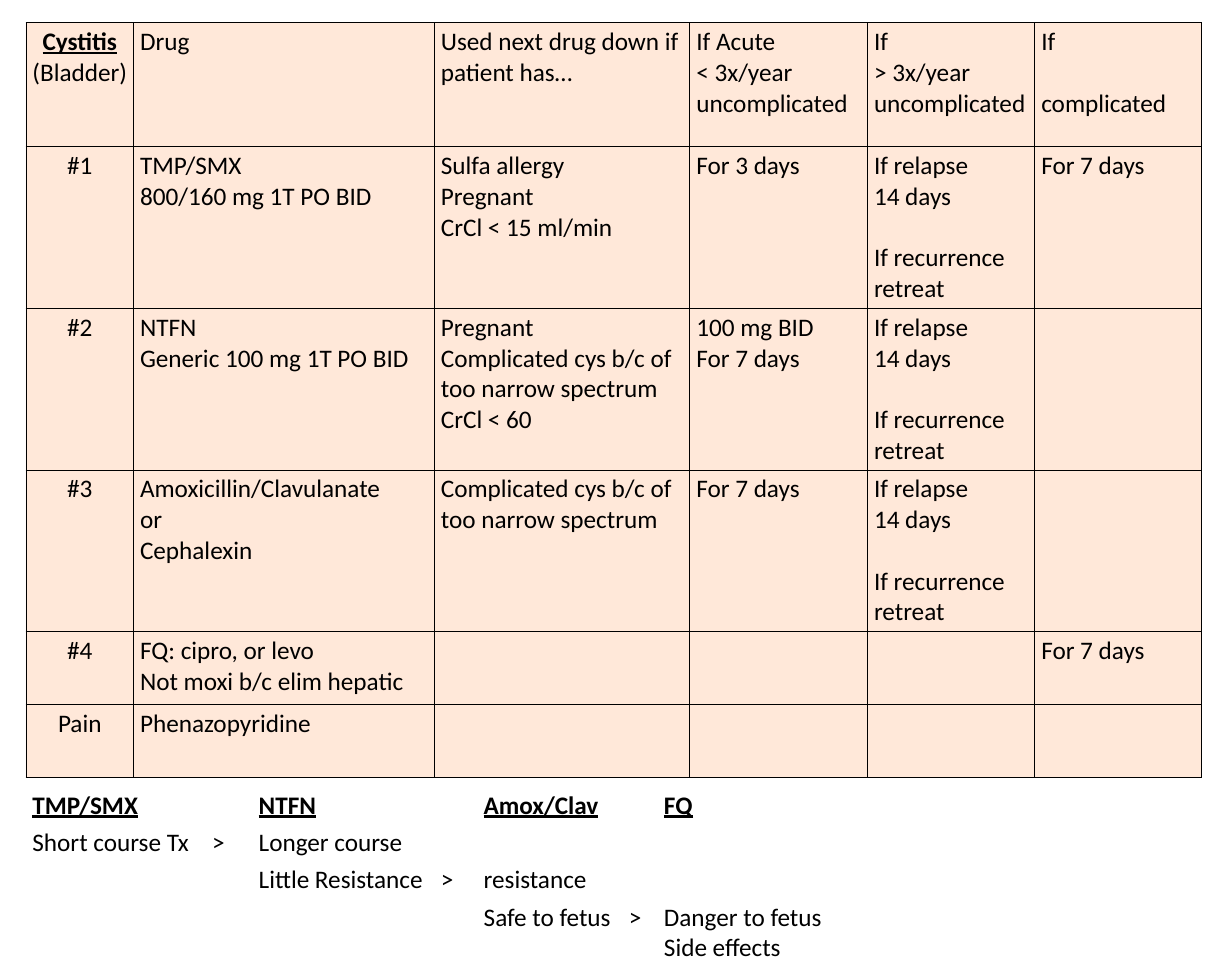
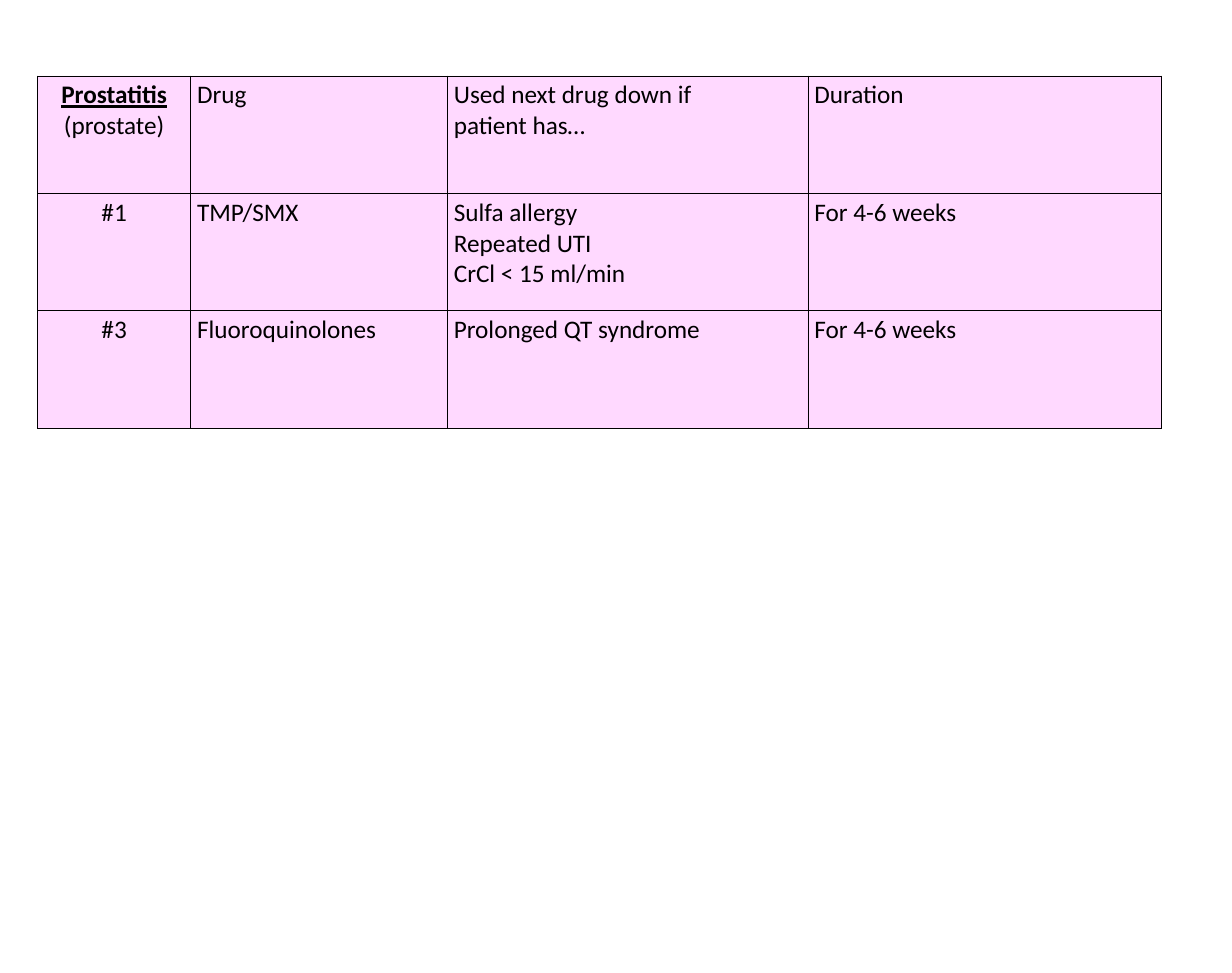
"""Build two slides of drug choice tables for cystitis and prostatitis."""
from dataclasses import dataclass

from lxml import etree
from pptx import Presentation
from pptx.dml.color import RGBColor
from pptx.enum.text import PP_ALIGN
from pptx.oxml.ns import qn
from pptx.util import Inches, Pt

LEFT, CENTER = PP_ALIGN.LEFT, PP_ALIGN.CENTER
BORDER_SIDES = ("a:lnL", "a:lnR", "a:lnT", "a:lnB")


@dataclass(frozen=True)
class Theme:
    font: str = "Calibri"
    size: float = 28
    blank_line: float = 34
    ink: str = "000000"
    border: float = 1
    orange: str = "FF6600"
    magenta: str = "FF00FF"
    tint: int = 15


THEME = Theme()
NEXT_DRUG = "Used next drug down if\npatient has…"
RELAPSE = "If relapse\n14 days\n\nIf recurrence\nretreat"

CYSTITIS = {
    "position": (0.4, 0.35),
    "columns": (1.66, 4.64, 3.94, 2.74, 2.58, 2.57),
    "heights": (1.91, 2.49, 2.49, 2.49, 1.12, 1.12),
    "color": THEME.orange,
    "rows": [
        ("Cystitis\n(Bladder)", "Drug", NEXT_DRUG, "If Acute\n< 3x/year\nuncomplicated",
         "If\n> 3x/year\nuncomplicated", "If\n\ncomplicated"),
        ("#1", "TMP/SMX\n800/160 mg 1T PO BID", "Sulfa allergy\nPregnant\nCrCl < 15 ml/min",
         "For 3 days", RELAPSE, "For 7 days"),
        ("#2", "NTFN\nGeneric 100 mg 1T PO BID",
         "Pregnant\nComplicated cys b/c of too narrow spectrum\nCrCl < 60",
         "100 mg BID\nFor 7 days", RELAPSE, ""),
        ("#3", "Amoxicillin/Clavulanate\nor\nCephalexin",
         "Complicated cys b/c of too narrow spectrum", "For 7 days", RELAPSE, ""),
        ("#4", "FQ: cipro, or levo\nNot moxi b/c elim hepatic", "", "", "", "For 7 days"),
        ("Pain", "Phenazopyridine", "", "", "", ""),
    ],
}
COMPARISON = {
    "position": (0.4, 12.13),
    "columns": (3.49, 3.47, 2.78, 3.86),
    "heights": (0.57, 0.57, 0.57, 1.05),
    "tabs": (2.77, 2.81, 2.24, None),
    "rows": [
        ("TMP/SMX", "NTFN", "Amox/Clav", "FQ"),
        ("Short course Tx\t>", "Longer course", "", ""),
        ("", "Little Resistance\t>", "resistance", ""),
        ("", "", "Safe to fetus\t>", "Danger to fetus\nSide effects"),
    ],
}
PROSTATITIS = {
    "position": (0.58, 1.17),
    "columns": (2.36, 3.96, 5.56, 5.45),
    "heights": (1.81, 1.81, 1.81),
    "color": THEME.magenta,
    "rows": [
        ("Prostatitis\n(prostate)", "Drug", NEXT_DRUG, "Duration"),
        ("#1", "TMP/SMX", "Sulfa allergy\nRepeated UTI\nCrCl < 15 ml/min", "For 4-6 weeks"),
        ("#3", "Fluoroquinolones", "Prolonged QT syndrome", "For 4-6 weeks"),
    ],
}
SLIDES = [(CYSTITIS, COMPARISON), (PROSTATITIS,)]


def add_text(text_frame, text, heading=False, align=LEFT, tab=None):
    """Write lines as paragraphs; an empty line becomes space before the next."""
    paragraph, gap = None, 0
    for line in text.split("\n"):
        if not line:
            gap += THEME.blank_line
            continue
        first = paragraph is None
        paragraph = text_frame.paragraphs[0] if first else text_frame.add_paragraph()
        paragraph.alignment = align
        if gap and not first:
            paragraph.space_before = Pt(gap)
        gap = 0
        if "\t" in line:
            tabs = etree.SubElement(paragraph._p.get_or_add_pPr(), qn("a:tabLst"))
            etree.SubElement(tabs, qn("a:tab"), pos=str(Inches(tab)), algn="l")
        run = paragraph.add_run()
        run.text = line
        run.font.name = THEME.font
        run.font.size = Pt(THEME.size)
        run.font.color.rgb = RGBColor.from_string(THEME.ink)
        run.font.bold = run.font.underline = heading and first


def style_cell(cell, color):
    """Give a cell a tinted fill and black borders, or neither."""
    if color is None:
        cell.fill.background()
        return
    properties = cell._tc.get_or_add_tcPr()
    for side in BORDER_SIDES:
        line = etree.SubElement(properties, qn(side), w=str(Pt(THEME.border)))
        fill = etree.SubElement(line, qn("a:solidFill"))
        etree.SubElement(fill, qn("a:srgbClr"), val=THEME.ink)
    cell.fill.solid()
    cell.fill.fore_color.rgb = RGBColor.from_string(color)
    tint = properties.find(qn("a:solidFill"))[0]
    etree.SubElement(tint, qn("a:alpha"), val=str(THEME.tint * 1000))


def add_drug_table(slide, content):
    """Place one table; a coloured one has a centred label column."""
    rows, columns, heights = content["rows"], content["columns"], content["heights"]
    color = content.get("color")
    tabs = content.get("tabs", (None,) * len(columns))
    left, top = content["position"]
    table = slide.shapes.add_table(
        len(rows), len(columns), Inches(left), Inches(top),
        Inches(sum(columns)), Inches(sum(heights))).table
    table.first_row = table.horz_banding = False
    for column, width in zip(table.columns, columns):
        column.width = Inches(width)
    for row, height in zip(table.rows, heights):
        row.height = Inches(height)
    for row_index, row in enumerate(rows):
        for column_index, text in enumerate(row):
            cell = table.cell(row_index, column_index)
            label = color is not None and column_index == 0
            if color:
                cell.margin_top = cell.margin_bottom = Inches(0.06)
            style_cell(cell, color)
            add_text(cell.text_frame, text,
                     heading=row_index == 0 and (label or color is None),
                     align=CENTER if label else LEFT, tab=tabs[column_index])


def main():
    """Build and save the presentation."""
    presentation = Presentation()
    presentation.slide_width, presentation.slide_height = Inches(19), Inches(15)
    for tables in SLIDES:
        slide = presentation.slides.add_slide(presentation.slide_layouts[6])
        for content in tables:
            add_drug_table(slide, content)
    presentation.save("out.pptx")


if __name__ == "__main__":
    main()
